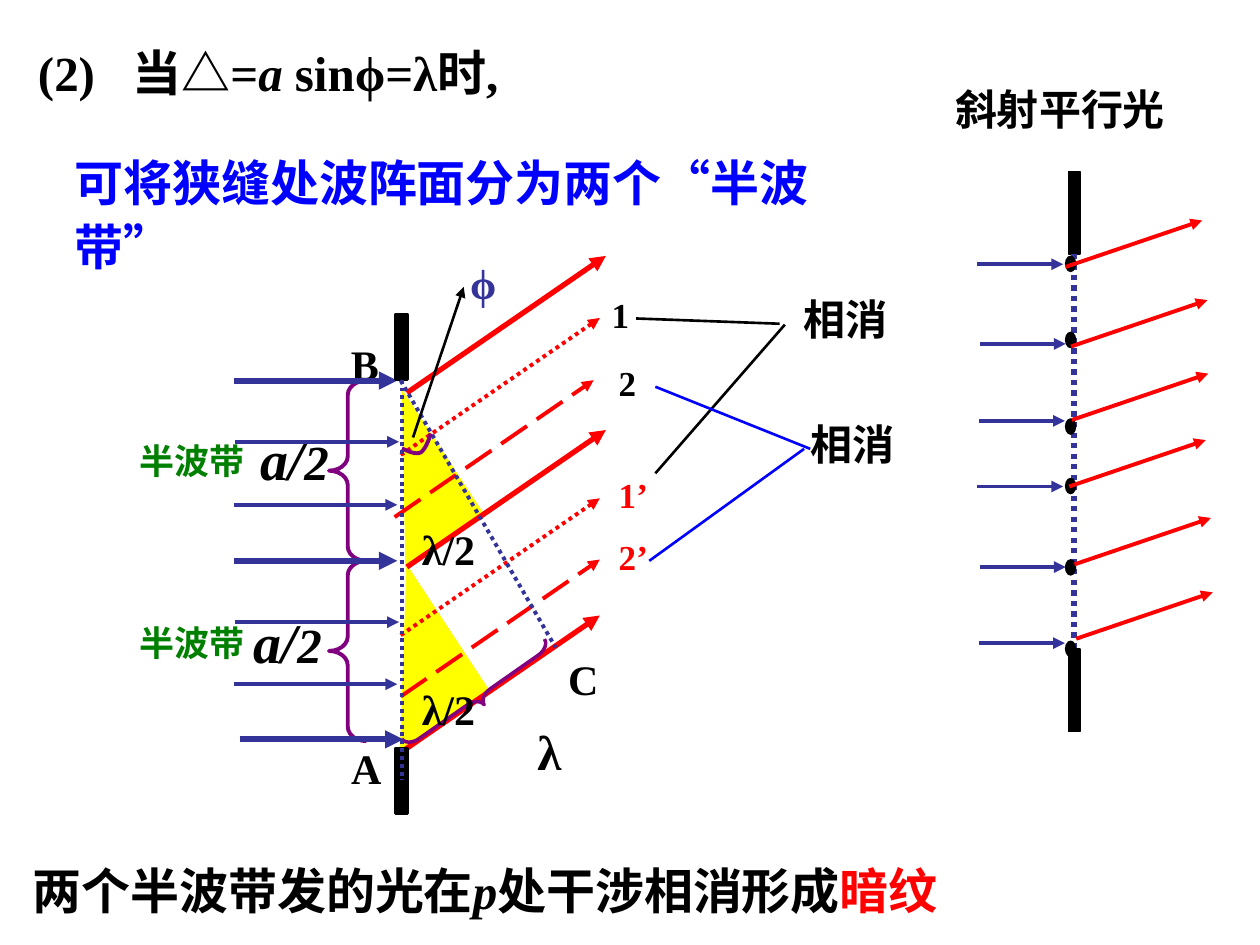
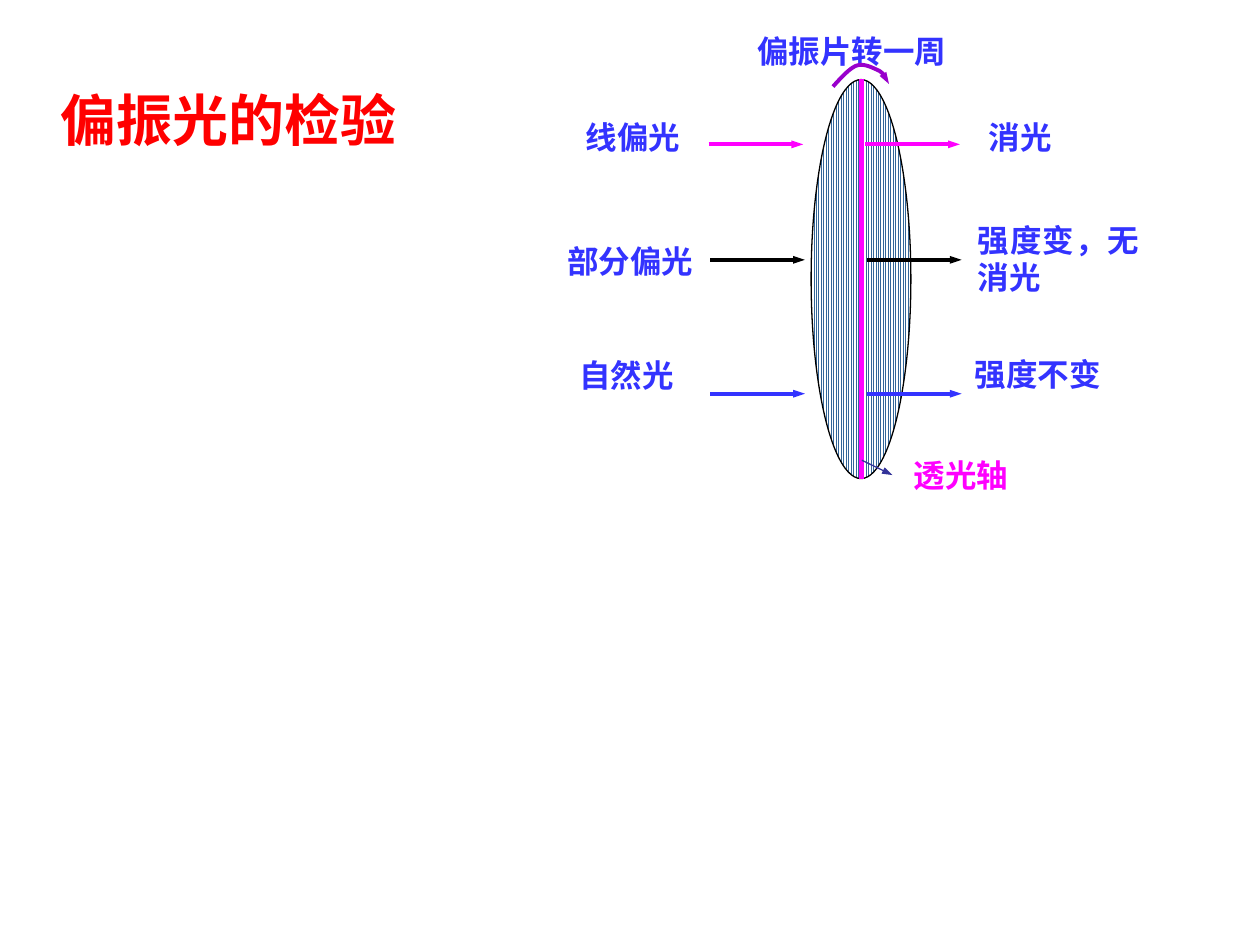
from lxml.etree import SubElement
from pptx import Presentation
from pptx.dml.color import RGBColor
from pptx.enum.dml import MSO_LINE_DASH_STYLE, MSO_PATTERN_TYPE
from pptx.enum.shapes import MSO_CONNECTOR, MSO_SHAPE
from pptx.enum.text import MSO_ANCHOR, MSO_AUTO_SIZE, PP_ALIGN
from pptx.oxml.ns import qn
from pptx.util import Pt

COLORS = {
    "black": "000000",
    "white": "FFFFFF",
    "red": "FF0000",
    "blue": "0000FF",
    "label": "3333FF",
    "navy": "333399",
    "green": "008000",
    "yellow": "FFFF00",
    "purple": "800080",
    "violet": "9900CC",
    "magenta": "FF00FF",
    "steel": "336699",
}
SERIF = "Times New Roman"
SANS = "Noto Sans CJK SC"
DOTTED = MSO_LINE_DASH_STYLE.ROUND_DOT
DASHED = MSO_LINE_DASH_STYLE.LONG_DASH


def color(name):
    return RGBColor.from_string(COLORS[name])


def write_text(frame, text, size=24, ink="black", font=SERIF, align=PP_ALIGN.LEFT,
               spacing=None, wrap=True, grow=True, tab=None):
    frame.word_wrap = wrap
    frame.auto_size = MSO_AUTO_SIZE.SHAPE_TO_FIT_TEXT if grow else MSO_AUTO_SIZE.NONE
    frame.vertical_anchor = MSO_ANCHOR.TOP
    para = frame.paragraphs[0]
    para.alignment = align
    para.space_before = Pt(0)
    if spacing:
        para.line_spacing = spacing
    if tab:
        tabs = SubElement(para._p.get_or_add_pPr(), qn("a:tabLst"))
        SubElement(tabs, qn("a:tab"), pos=str(Pt(tab)), algn="l")
    for words, changes in [(text, {})] if isinstance(text, str) else text:
        span = para.add_run()
        span.text = words
        span.font.name = font
        span.font.bold = True
        span.font.italic = changes.get("italic", False)
        span.font.size = Pt(changes.get("size", size))
        span.font.color.rgb = color(changes.get("ink", ink))


def bezier(start, *curves):
    points = [start]
    for first, second, end in curves:
        origin = points[-1]
        for step in range(1, 13):
            t = step / 12
            points.append(tuple(
                (1 - t) ** 3 * a + 3 * t * (1 - t) ** 2 * b + 3 * t * t * (1 - t) * c + t ** 3 * d
                for a, b, c, d in zip(origin, first, second, end)))
    return points


class Board:
    def __init__(self):
        self.deck = Presentation()
        self.deck.slide_width, self.deck.slide_height = Pt(720), Pt(540)
        self.page = None
        self.head_width = "med"

    def new_page(self, title, place, head_width="med", **style):
        self.page = self.deck.slides.add_slide(self.deck.slide_layouts[5])
        self.head_width = head_width
        box = self.page.shapes.title
        box.left, box.top, box.width, box.height = map(Pt, place)
        write_text(box.text_frame, title, **style)

    def text(self, text, place, **style):
        box = self.page.shapes.add_textbox(*map(Pt, place))
        write_text(box.text_frame, text, **style)

    def stroke(self, line, ink, width, dash=None, arrow=False):
        line.color.rgb = color(ink)
        line.width = Pt(width)
        if dash:
            line.dash_style = dash
        if arrow:
            SubElement(line._get_or_add_ln(), qn("a:tailEnd"),
                       type="triangle", w=self.head_width, len="med")

    def shape(self, kind, place, fill=None, ink=None, width=0.75, turn=0, adjust=None):
        shape = self.page.shapes.add_shape(kind, *map(Pt, place))
        shape.shadow.inherit = False
        shape.rotation = turn
        if adjust:
            shape.adjustments[0] = adjust
        if fill:
            shape.fill.solid()
            shape.fill.fore_color.rgb = color(fill)
        else:
            shape.fill.background()
        if ink:
            self.stroke(shape.line, ink, width)
        else:
            shape.line.fill.background()
        return shape

    def line(self, start, end, ink, width, dash=None, arrow=False):
        line = self.page.shapes.add_connector(MSO_CONNECTOR.STRAIGHT, *map(Pt, start + end))
        SubElement(line._element.spPr, qn("a:effectLst"))
        self.stroke(line.line, ink, width, dash, arrow)
        return line

    def arrow(self, start, reach, ink, width, dash=None):
        end = (start[0] + reach[0], start[1] + reach[1])
        return self.line(start, end, ink, width, dash, True)

    def curve(self, points, ink, width, arrow=False):
        (left, top), *rest = [(Pt(x), Pt(y)) for x, y in points]
        builder = self.page.shapes.build_freeform(left, top)
        builder.add_line_segments(rest, close=False)
        shape = builder.convert_to_shape()
        shape.shadow.inherit = False
        shape.fill.background()
        self.stroke(shape.line, ink, width, arrow=arrow)


def draw_slit(board):
    for left, top, width, height in [(188, 345.5, 85.5, 60.5), (188.5, 247, 85, 53.5)]:
        board.shape(MSO_SHAPE.RIGHT_TRIANGLE, (left, top, width, height), "yellow", "yellow", turn=236.7)
    for start, end, ink in [((363.5, 182), (445.5, 185), "black"),
                            ((374.5, 270.5), (448.5, 185.5), "black"),
                            ((374.5, 221), (463, 256.5), "blue"),
                            ((371, 320.5), (459.5, 256.5), "blue")]:
        board.line(start, end, ink, 1.5)
    for left, top in [(452, 164), (456, 235.5)]:
        board.text("相消", (left, top, 62.5, 36))

    for start, width, dash in [((232.5, 224.5), 3, None), ((229, 260), 2.25, DOTTED),
                               ((225.5, 295.5), 2.25, DASHED), ((232.5, 324), 3, None),
                               ((229, 363), 2.25, DOTTED), ((229, 398), 2.25, DASHED),
                               ((229, 430), 3, None)]:
        board.arrow(start, (113.75, -78.25), "red", width, dash)
    board.line((229, 217.5), (317.5, 370), "navy", 2.25, DOTTED)

    for label, left, top, width, size, ink in [
            ("C", 317.5, 370, 31.5, 24, "black"), ("A", 193.5, 420.5, 31.5, 24, "black"),
            ("B", 193.5, 190, 30, 24, "black"), ("ϕ", 261.5, 143.5, 29, 24, "navy"),
            ("1", 342.5, 164, 24.5, 20, "black"), ("2", 346.5, 203, 24.5, 20, "black"),
            ("1’", 346.5, 267, 31, 20, "red"), ("2’", 346.5, 302.5, 31, 20, "red"),
            ("λ", 300, 409, 29.5, 28, "black")]:
        board.text(label, (left, top, width, size * 1.2 + 7.2), size=size, ink=ink, wrap=False)
    board.shape(MSO_SHAPE.RIGHT_BRACE, (268, 348.5, 11, 99.5), ink="purple", width=2, turn=55, adjust=0.737)

    for brace_top, zone_top, half_left, half_top in [(217.5, 247.5, 142, 239), (320.5, 351.5, 138, 343.5)]:
        board.text("半波带", (72.5, zone_top, 78.5, 31), size=20, ink="green")
        board.text([("a/", {"size": 32, "italic": True}), ("2", {"size": 28, "italic": True})],
                   (half_left, half_top, 53.5, 45.5), wrap=False)
        board.shape(MSO_SHAPE.LEFT_BRACE, (188, brace_top, 21.5, 103), ink="purple", width=2.25, adjust=0.382)

    board.line((236, 250), (265, 164), "black", 1.5, arrow=True)
    board.curve(bezier((246.2, 247.7), ((244.8, 252.7), (242.6, 257), (240.5, 258.5)),
                       ((237.6, 260), (233.3, 257.8), (229.7, 256.3))), "purple", 2.25)

    for left, height, width in [(133.5, 217.5, 3.5), (134.5, 252.5, 2.25), (133.5, 288.5, 2.25),
                                (133.5, 320.5, 3.5), (134.5, 355.5, 2.25), (133.5, 391, 2.25),
                                (137, 422.5, 3.5)]:
        board.arrow((left, height), (93.5, 0), "navy", width)
    upper, _ = [board.shape(MSO_SHAPE.RECTANGLE, (226, top, 7, 37.5), "black", "black", 1.5)
                for top in (179.5, 427.5)]
    opening = board.line((229.5, 217), (229.5, 445.5), "navy", 2.25, DOTTED)
    opening.begin_connect(upper, 2)
    for top in (292.5, 384):
        board.text("λ/2", (234, top, 67.5, 39), spacing=1.1)


def draw_oblique_light(board):
    upper, lower = [board.shape(MSO_SHAPE.RECTANGLE, (610.5, top, 6.5, 47), "black", "black", 1)
                    for top in (98, 371)]
    opening = board.line((613.75, 145), (613.75, 371), "navy", 3, DOTTED)
    opening.begin_connect(upper, 2)
    opening.end_connect(lower, 0)
    for left, height, dot_top, ray_left, ray_top in [
            (558.5, 151, 146, 609, 152.5), (560, 196.5, 189.5, 612, 198),
            (559.5, 240.5, 239, 612.5, 240), (558.5, 278, 273, 611, 278),
            (560, 324, 319.5, 614, 322.5), (559.5, 367.5, 366, 615, 365)]:
        board.arrow((left, height), (49, 0), "navy", 2.25)
        board.shape(MSO_SHAPE.OVAL, (608.5, dot_top, 6.5, 9.5), "black")
        board.arrow((ray_left, ray_top), (78, -26.5), "red", 2.25)
    board.text("斜射平行光", (538, 44, 135.5, 36), align=PP_ALIGN.CENTER, wrap=False)


def build_half_wave_page(board):
    board.new_page([("(2)\t当△=", {}), ("a ", {"italic": True}), ("sinϕ=λ时,", {})],
                   (14.5, 17.5, 430.5, 44), size=28, spacing=1.1, tab=54)
    draw_slit(board)
    draw_oblique_light(board)
    board.text([("两个半波带发的光在", {}), ("p", {"italic": True}),
                ("处干涉相消形成", {}), ("暗纹", {"ink": "red"})],
               (11.5, 488, 599, 41), size=28, align=PP_ALIGN.JUSTIFY)
    board.text("可将狭缝处波阵面分为两个“半波带”", (35.5, 80, 476, 44.5), size=28, ink="blue", spacing=1.1)


def build_polarizer_page(board):
    board.new_page("偏振光的检验", (27.5, 45.5, 223, 46), head_width="sm", size=32, ink="red", font=SANS)
    for label, left, top, width, height, ink in [
            ("偏振片转一周", 425.5, 14.5, 131, 18.5, "label"), ("线偏光", 327.5, 64, 76.5, 31.5, "label"),
            ("消光", 558, 64, 70.5, 36.5, "label"), ("部分偏光", 317, 134.5, 105, 29, "label"),
            ("强度变，无消光", 551.5, 122.5, 106.5, 44, "label"), ("自然光", 324, 200, 73.5, 36, "label"),
            ("强度不变", 550, 199.5, 88, 35.5, "label"), ("透光轴", 515, 257, 78, 28, "magenta")]:
        board.text(label, (left, top, width, height), size=18, ink=ink, align=PP_ALIGN.JUSTIFY, grow=False)

    disc = board.shape(MSO_SHAPE.OVAL, (463.5, 45.5, 57, 228), ink="black")
    disc.fill.patterned()
    disc.fill.pattern = MSO_PATTERN_TYPE.NARROW_VERTICAL
    disc.fill.fore_color.rgb = color("steel")
    disc.fill.back_color.rgb = color("white")
    for left, height, ink in [(405, 82.5, "magenta"), (406, 148.5, "black"), (406, 225, "label")]:
        for offset in (0, 89.5):
            board.arrow((left + offset, height), (54, 0), ink, 2.25)
    board.line((492.5, 45), (492.5, 274), "magenta", 3)
    board.line((492.5, 263), (510, 271.5), "navy", 0.75, arrow=True)
    board.curve(bezier((476, 49.5), ((481, 44), (485.5, 39), (489.5, 37.5)),
                       ((494, 36), (499, 39), (502.5, 40.5)),
                       ((505.5, 42.5), (507, 45.5), (508, 48))), "violet", 2.25, arrow=True)


def main():
    board = Board()
    build_half_wave_page(board)
    build_polarizer_page(board)
    board.deck.save("out.pptx")


if __name__ == "__main__":
    main()
